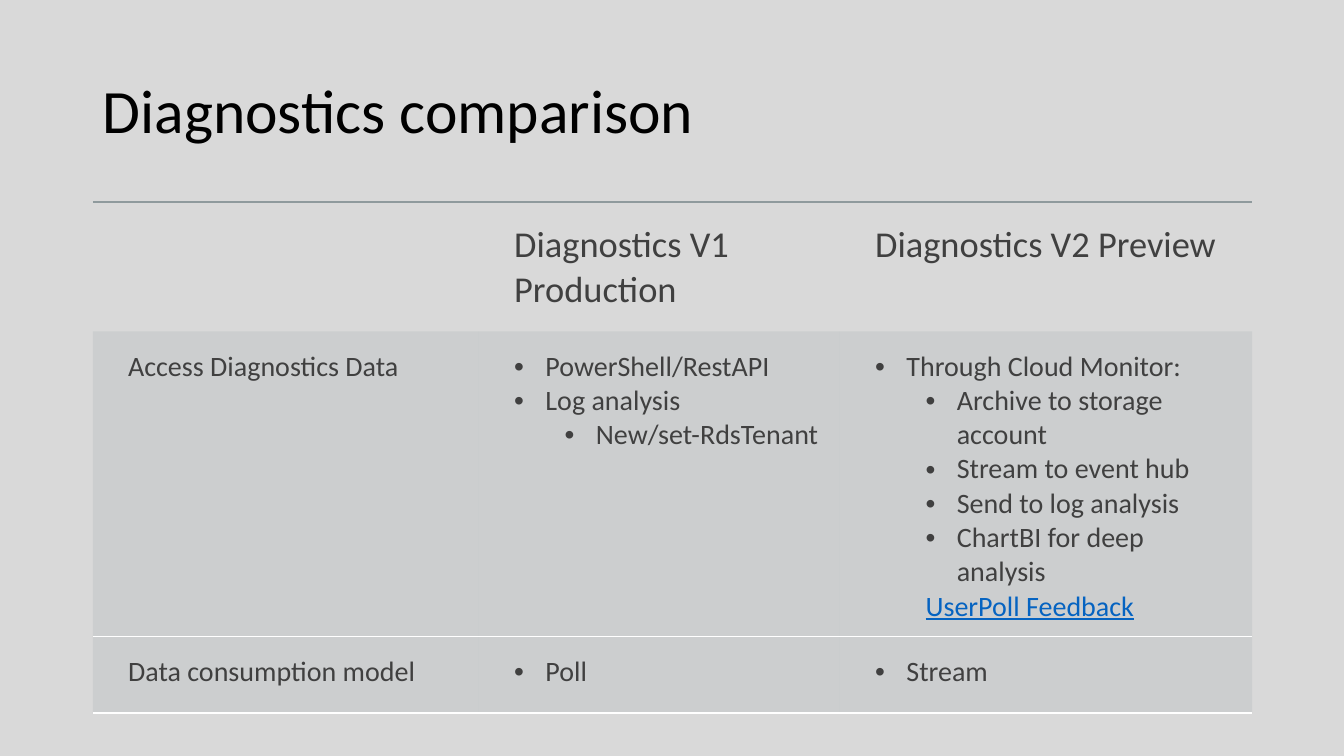
from lxml import etree
from pptx import Presentation
from pptx.dml.color import RGBColor
from pptx.enum.text import MSO_ANCHOR as Anchor
from pptx.oxml.ns import qn
from pptx.util import Inches, Pt

BACK = RGBColor(0xD9, 0xD9, 0xD9)
BLACK = RGBColor(0, 0, 0)
DARK = RGBColor(0x40, 0x40, 0x40)
BLUE = RGBColor(0x05, 0x63, 0xC1)
GRAY = RGBColor(0xB4, 0xBC, 0xBE)
RULE = RGBColor(0x8F, 0x9A, 0x9D)
WHITE = RGBColor(0xFF, 0xFF, 0xFF)

# Text kinds: left margin, hanging indent, bullet
KINDS = {"plain": (0, 0, ""), "dot": (0.31, -0.31, "•"),
         "sub": (0.81, -0.31, "•"), "link": (0.5, 0, "")}
HEAD = {"name": "Calibri", "size": Pt(26), "bold": False}
BODY = {"name": "Calibri", "size": Pt(20), "bold": False}


def paint(node, color, alpha):
    fill = etree.SubElement(node, qn("a:solidFill"))
    tone = etree.SubElement(fill, qn("a:srgbClr"), val=str(color))
    etree.SubElement(tone, qn("a:alpha"), val=str(alpha * 1000))


def write(par, text, look, color):
    run = par.add_run()
    run.text = text
    for key, val in look.items():
        setattr(run.font, key, val)
    run.font.color.rgb = color


# Slide
deck = Presentation()
deck.slide_width, deck.slide_height = Inches(13.33), Inches(7.5)
slide = deck.slides.add_slide(deck.slide_layouts[6])
slide.background.fill.solid()
slide.background.fill.fore_color.rgb = BACK

# Title
box = slide.shapes.add_textbox(Inches(0.92), Inches(0.4), Inches(11.5), Inches(1.45))
frame = box.text_frame
frame.word_wrap = True
frame.vertical_anchor = Anchor.MIDDLE
frame.paragraphs[0].line_spacing = 0.9
write(frame.paragraphs[0], "Diagnostics comparison",
      {"name": "Calibri", "size": Pt(44)}, BLACK)

# Table content
rows = [
    [[],
     [("plain", "Diagnostics V1"), ("plain", "Production")],
     [("plain", "Diagnostics V2 Preview")]],
    [[("plain", "Access Diagnostics Data")],
     [("dot", "PowerShell/RestAPI"), ("dot", "Log analysis"),
      ("sub", "New/set-RdsTenant")],
     [("dot", "Through Cloud Monitor:"), ("sub", "Archive to storage account"),
      ("sub", "Stream to event hub"), ("sub", "Send to log analysis"),
      ("sub", "ChartBI for deep analysis"), ("link", "UserPoll Feedback")]],
    [[("plain", "Data consumption model")],
     [("dot", "Poll")],
     [("dot", "Stream")]],
]

# Table grid
table = slide.shapes.add_table(3, 3, Inches(0.92), Inches(2),
                               Inches(11.5), Inches(4.41)).table
table.first_row = table.horz_banding = False
for col, width in zip(table.columns, (3.83, 3.58, 4.09)):
    col.width = Inches(width)
for row, height in zip(table.rows, (0.91, 2.74, 0.76)):
    row.height = Inches(height)

# Cells
for r, row in enumerate(rows):
    look, pad = (BODY, 0.18) if r else (HEAD, 0.21)
    edges = {"lnB": (WHITE, 100)} if r else {"lnT": (RULE, 60)}
    if r == 2:
        edges["lnT"] = (WHITE, 100)
    for c, items in enumerate(row):
        cell = table.cell(r, c)
        if items:
            cell.margin_left = Inches(0.35)
            cell.margin_top = cell.margin_right = cell.margin_bottom = Inches(pad)

        # Borders, then fill
        props = cell._tc.get_or_add_tcPr()
        for side in ("lnL", "lnR", "lnT", "lnB"):
            line = etree.SubElement(props, qn("a:" + side), w=str(Pt(1.5)))
            if side in edges:
                paint(line, *edges[side])
            else:
                etree.SubElement(line, qn("a:noFill"))
        if r:
            paint(props, GRAY, 35)
        else:
            cell.fill.background()

        # Text
        for i, (kind, text) in enumerate(items):
            frame = cell.text_frame
            par = frame.add_paragraph() if i else frame.paragraphs[0]
            left, hang, mark = KINDS[kind]
            par.level = int(kind in ("sub", "link"))
            form = par._p.get_or_add_pPr()
            form.set("marL", str(Inches(left)))
            form.set("indent", str(Inches(hang)))
            if mark:
                etree.SubElement(form, qn("a:buFont"), typeface="Arial")
                etree.SubElement(form, qn("a:buChar"), char=mark)
            link = kind == "link"
            write(par, text, {**look, "underline": link}, BLUE if link else DARK)

deck.save("out.pptx")
